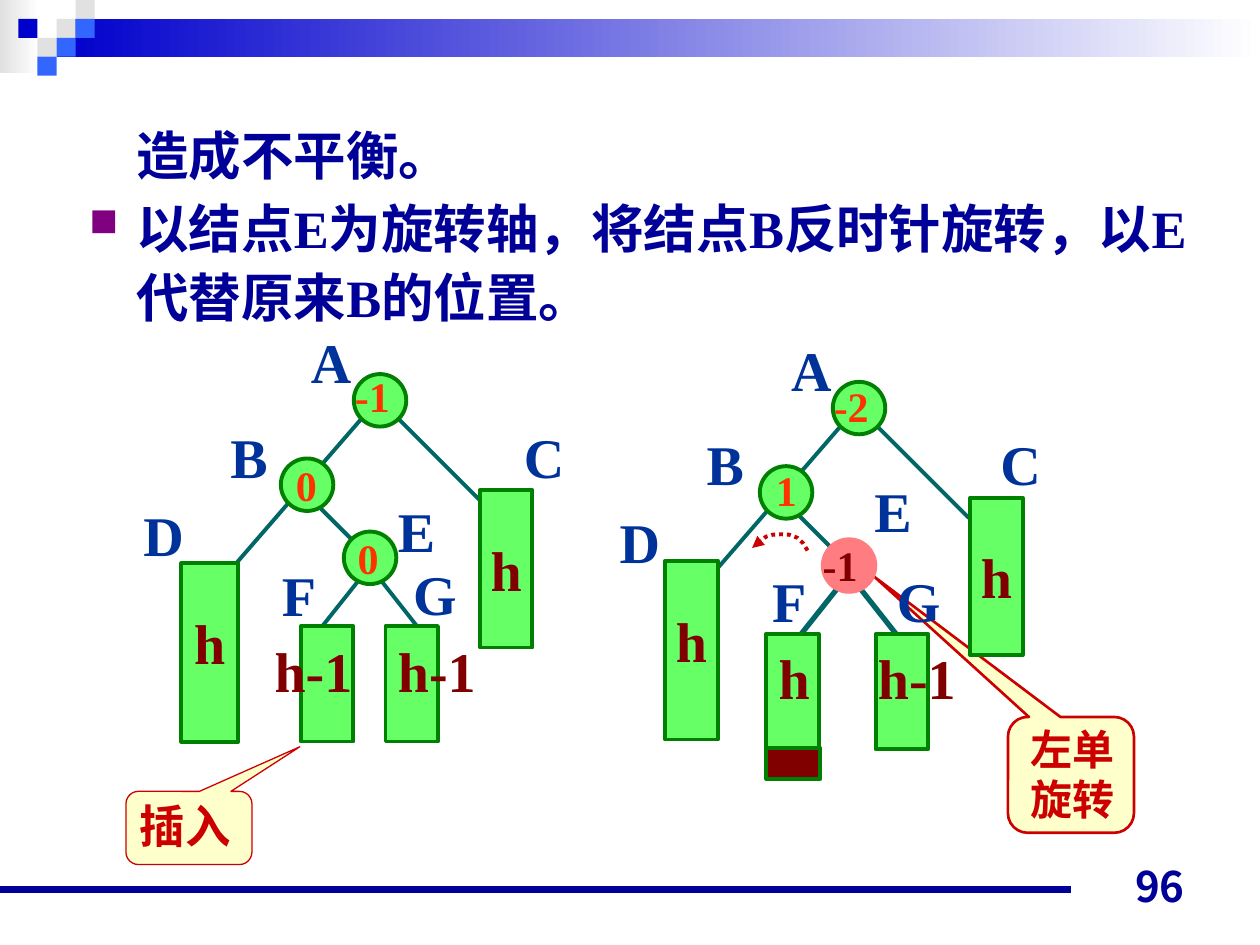
from lxml import etree
from pptx import Presentation
from pptx.dml.color import RGBColor
from pptx.enum.dml import MSO_LINE
from pptx.enum.shapes import MSO_CONNECTOR, MSO_SHAPE
from pptx.enum.text import MSO_ANCHOR, PP_ALIGN
from pptx.oxml.ns import qn
from pptx.util import Pt

RECT = MSO_SHAPE.RECTANGLE
OVAL = MSO_SHAPE.OVAL
CALLOUT = MSO_SHAPE.ROUNDED_RECTANGULAR_CALLOUT
STRAIGHT = MSO_CONNECTOR.STRAIGHT
DOTTED = MSO_LINE.ROUND_DOT
LEFT, CENTER, RIGHT = PP_ALIGN.LEFT, PP_ALIGN.CENTER, PP_ALIGN.RIGHT
TOP, MIDDLE, BOTTOM = MSO_ANCHOR.TOP, MSO_ANCHOR.MIDDLE, MSO_ANCHOR.BOTTOM

NAVY = RGBColor(0x00, 0x00, 0x99)
BLUE = RGBColor(0x00, 0x00, 0xCC)
SKY = RGBColor(0x33, 0x66, 0xFF)
GRAY = RGBColor(0xE1, 0xE1, 0xE1)
WHITE = RGBColor(0xFF, 0xFF, 0xFF)
TEAL = RGBColor(0x00, 0x66, 0x66)
LIME = RGBColor(0x66, 0xFF, 0x66)
GREEN = RGBColor(0x00, 0x80, 0x00)
PINK = RGBColor(0xFF, 0x7C, 0x80)
CREAM = RGBColor(0xFF, 0xFF, 0xCC)
RED = RGBColor(0xCC, 0x00, 0x00)
ORANGE = RGBColor(0xFF, 0x33, 0x00)
MAROON = RGBColor(0x80, 0x00, 0x00)
LABEL_BLUE = RGBColor(0x00, 0x33, 0x99)

SERIF, SANS, CHINESE = "Times New Roman", "Noto Sans CJK JP", "Noto Sans CJK SC"
NODE_SIZE = 30
LABEL_WIDTHS = {"A": 37.4, "B": 35.3, "C": 37.4, "D": 37.4, "E": 35.3,
                "F": 33.8, "G": 38.9, "h": 32.4, "h-1": 59}

EDGES = [((208, 237.6), (124.5, 334)), ((226, 237.6), (280, 291.6)),
         ((178.5, 285.8), (214.5, 321.8))]
LOWER_EDGES = [((208.2, 327.6), (184.2, 357.8)), ((214.5, 327.6), (238.3, 357.8))]
NODES = {"A": (202.2, 213.8), "B": (160.5, 262), "E": (196.5, 303.8)}

BEFORE = {
    "origin": (0, 0), "lower_width": 2.25, "e_colors": (LIME, GREEN),
    "subtrees": [("h", 274.3, 280, 30, 90, 1), ("h", 103.7, 321.8, 32.4, 102.2, 0.6),
                 ("", 172, 357.8, 30, 66, 1), ("", 220.3, 357.8, 30, 66, 1)],
    "labels": [("A", 170.6, 183.6), ("B", 124.6, 237.6), ("C", 292.3, 237.6),
               ("D", 74.9, 282.2), ("E", 220.3, 280), ("F", 154, 316.8),
               ("G", 229, 316)],
    "heights": [("h-1", 149.8, 360), ("h-1", 220.3, 360)],
    "balances": [("-1", 195.8, 208, 40.3, ORANGE), ("0", 162, 259.2, 25.9, ORANGE),
                 ("0", 197.3, 301, 25.9, ORANGE)],
}
AFTER = {
    "origin": (273.7, 4.4), "lower_width": 3, "e_colors": (PINK, PINK),
    "subtrees": [("h", 554.4, 284.4, 30, 90, 1), ("h", 380.2, 320.4, 30, 102.2, 0.6),
                 ("", 437.8, 362.2, 30, 66, 1), ("", 500.4, 362.2, 30, 66, 1)],
    "labels": [("A", 445, 188), ("B", 396.7, 242), ("C", 564.5, 242),
               ("D", 347, 286.6), ("E", 492.5, 268.6), ("F", 434.2, 320.4),
               ("G", 505.4, 320.4)],
    "heights": [("h", 437.8, 364.3), ("h-1", 494.6, 364.3)],
    "balances": [("-2", 469.4, 213.8, 40.3, ORANGE), ("1", 436.3, 262, 25.9, ORANGE),
                 ("-1", 463, 304.6, 40.3, MAROON)],
}


def write(frame, *lines, size, color, font=SERIF, align=LEFT, anchor=TOP,
          wrap=True, spacing=None, before=0):
    frame.word_wrap = wrap
    frame.vertical_anchor = anchor
    for index, line in enumerate(lines):
        paragraph = frame.add_paragraph() if index else frame.paragraphs[0]
        paragraph.alignment = align
        paragraph.line_spacing = spacing
        paragraph.space_before = Pt(before)
        run = paragraph.add_run()
        run.text = line
        run.font.size = Pt(size)
        run.font.bold = True
        run.font.name = font
        run.font.color.rgb = color
        east_asian = etree.SubElement(run._r.get_or_add_rPr(), qn("a:ea"))
        east_asian.set("typeface", CHINESE)


def add_text(slide, box, *lines, **style):
    frame = slide.shapes.add_textbox(*map(Pt, box)).text_frame
    write(frame, *lines, **style)
    return frame


def add_box(slide, kind, box, fill, line=None, width=2.25):
    box_shape = slide.shapes.add_shape(kind, *map(Pt, box))
    box_shape.shadow.inherit = False
    if isinstance(fill, RGBColor):
        box_shape.fill.solid()
        box_shape.fill.fore_color.rgb = fill
    else:
        box_shape.fill.gradient()
        box_shape.fill.gradient_angle = 0
        for stop, color in zip(box_shape.fill.gradient_stops, fill):
            stop.color.rgb = color
    if line is None:
        box_shape.line.fill.background()
    else:
        box_shape.line.color.rgb = line
        box_shape.line.width = Pt(width)
    return box_shape


def add_line(slide, start, end, color, width):
    connector = slide.shapes.add_connector(STRAIGHT, *map(Pt, (*start, *end)))
    connector.line.color.rgb = color
    connector.line.width = Pt(width)
    etree.SubElement(connector._element.spPr, qn("a:effectLst"))


def add_callout(slide, box, pointer, width):
    callout = add_box(slide, CALLOUT, box, CREAM, RED, width)
    for index, value in enumerate((*pointer, 0.17)):
        callout.adjustments[index] = value


def add_rotation_arrow(slide):
    points = [(461.5, 314.6), (459, 310.5), (455.8, 307.4), (451, 305.6),
              (446.4, 305.3), (441.5, 305.6), (437.8, 306.7), (433.5, 310),
              (429.8, 313.2)]
    builder = slide.shapes.build_freeform(Pt(points[0][0]), Pt(points[0][1]))
    builder.add_line_segments([(Pt(x), Pt(y)) for x, y in points[1:]], close=False)
    arrow = builder.convert_to_shape()
    arrow.shadow.inherit = False
    arrow.fill.background()
    arrow.line.color.rgb = RED
    arrow.line.width = Pt(2.25)
    arrow.line.dash_style = DOTTED
    etree.SubElement(arrow.line._get_or_add_ln(), qn("a:tailEnd"), type="triangle")


def add_banner(slide):
    add_box(slide, RECT, (0, 0, 22.3, 41.8), (GRAY, WHITE))
    add_box(slide, RECT, (32.4, 10.8, 687.6, 21.6), (BLUE, WHITE))
    for column, row, color in [(2, 1, GRAY), (3, 0, GRAY), (3, 1, SKY), (1, 2, GRAY),
                               (0, 1, BLUE), (2, 2, SKY), (1, 3, SKY)]:
        add_box(slide, RECT, (10.5 + 10.9 * column, 10.8 * row, 10.9, 10.8), color)
    add_line(slide, (0, 508.3), (612, 508.3), NAVY, 4.5)


def add_body(slide):
    frame = add_text(slide, (43.9, 63.4, 648, 136.8), "造成不平衡。",
                     "以结点E为旋转轴，将结点B反时针旋转，以E代替原来B的位置。",
                     size=30, color=NAVY, spacing=1.1, before=1.9)
    plain, bulleted = [p._p.get_or_add_pPr() for p in frame.paragraphs]
    plain.set("marL", str(Pt(27)))
    bulleted.set("marL", str(Pt(27)))
    bulleted.set("indent", str(-Pt(27)))
    bullet_color = etree.SubElement(bulleted, qn("a:buClr"))
    etree.SubElement(bullet_color, qn("a:srgbClr"), val="800080")
    etree.SubElement(bulleted, qn("a:buSzPct"), val="75000")
    etree.SubElement(bulleted, qn("a:buChar"), char="■")


def add_tree(slide, tree):
    dx, dy = tree["origin"]
    for edges, width in ((EDGES, 2.25), (LOWER_EDGES, tree["lower_width"])):
        for (x1, y1), (x2, y2) in edges:
            add_line(slide, (x1 + dx, y1 + dy), (x2 + dx, y2 + dy), TEAL, width)
    for height, *box, spacing in tree["subtrees"]:
        subtree = add_box(slide, RECT, box, LIME, GREEN)
        if height:
            write(subtree.text_frame, height, size=32, color=MAROON, align=CENTER,
                  anchor=MIDDLE, wrap=False, spacing=spacing)
    for name, (x, y) in NODES.items():
        fill, line = tree["e_colors"] if name == "E" else (LIME, GREEN)
        add_box(slide, OVAL, (x + dx, y + dy, NODE_SIZE, NODE_SIZE), fill, line)
    for group, color in (("labels", LABEL_BLUE), ("heights", MAROON)):
        for text, x, y in tree[group]:
            add_text(slide, (x, y, LABEL_WIDTHS[text], 46), text,
                     size=32, color=color, wrap=False)
    for balance, x, y, width, color in tree["balances"]:
        add_text(slide, (x, y, width, 36), balance, size=24, color=color)


def main():
    deck = Presentation()
    deck.slide_width, deck.slide_height = Pt(720), Pt(540)
    slide = deck.slides.add_slide(deck.slide_layouts[6])
    add_banner(slide)
    add_callout(slide, (72, 452.2, 72, 41.8), (0.88, -1.11), 0.75)
    add_text(slide, (72.7, 452.2, 71.3, 39), "插入", size=26, color=RED)
    add_callout(slide, (576, 409.7, 72, 66.2), (-1.56, -1.71), 1.5)
    add_text(slide, (581.8, 409.7, 72, 64.8), "左单", "旋转", size=24, color=RED)
    add_tree(slide, BEFORE)
    add_rotation_arrow(slide)
    add_tree(slide, AFTER)
    add_box(slide, RECT, (437.8, 427.7, 31, 17.3), MAROON, GREEN)
    add_body(slide)
    add_text(slide, (516.2, 488.2, 167.8, 36), "96", size=24, color=NAVY,
             font=SANS, align=RIGHT, anchor=BOTTOM)
    deck.save("out.pptx")


if __name__ == "__main__":
    main()
